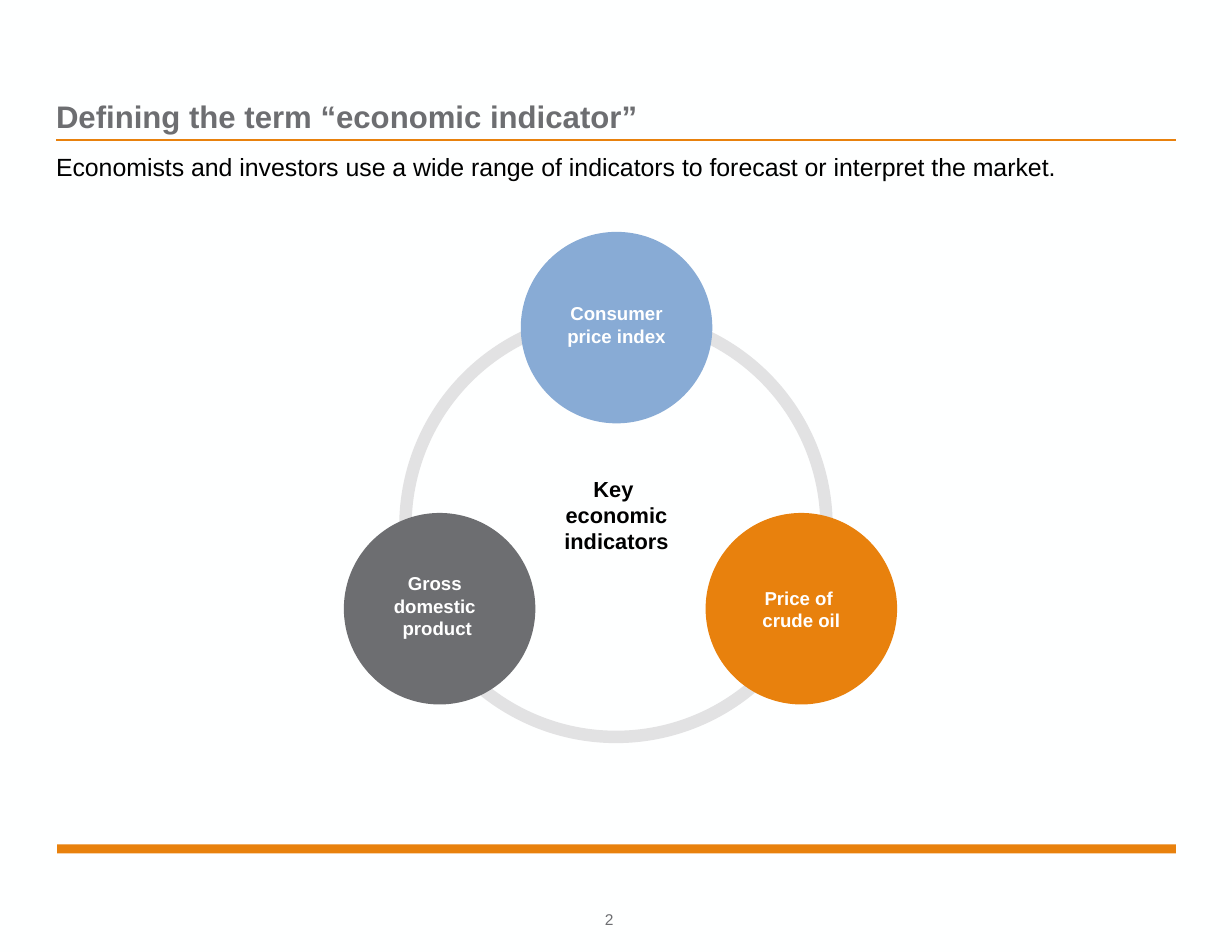
from dataclasses import dataclass

from lxml import etree
from pptx import Presentation
from pptx.dml.color import RGBColor
from pptx.enum.shapes import MSO_CONNECTOR, MSO_SHAPE
from pptx.enum.text import MSO_ANCHOR as Anchor, MSO_AUTO_SIZE as AutoSize, PP_ALIGN as Align
from pptx.oxml.ns import qn
from pptx.util import Inches, Pt


@dataclass(frozen=True)
class Theme:
    font: str = "Arial"
    paper: RGBColor = RGBColor(0xFE, 0xFF, 0xFF)
    white: RGBColor = RGBColor(0xFF, 0xFF, 0xFF)
    black: RGBColor = RGBColor(0, 0, 0)
    orange: RGBColor = RGBColor(0xE8, 0x81, 0x0D)
    gray: RGBColor = RGBColor(0x6D, 0x6E, 0x71)
    blue: RGBColor = RGBColor(0x88, 0xAB, 0xD5)
    ring: RGBColor = RGBColor(0xE2, 0xE2, 0xE3)
    title: int = 20
    body: int = 16
    center: int = 14
    label: int = 12
    footer: int = 10


theme = Theme()
deck = Presentation()
deck.slide_width, deck.slide_height = Inches(11), Inches(8.5)
page = deck.slides.add_slide(deck.slide_layouts[6])
page.background.fill.solid()
page.background.fill.fore_color.rgb = theme.paper


def add_text(text, at, size, color, bold=False, align=Align.LEFT, anchor=Anchor.TOP,
             margins=(0, 0), wrap=True, grow=False):
    """Place a text box; margins are (horizontal, vertical), \\v breaks a line."""
    box = page.shapes.add_textbox(*map(Inches, at))
    frame = box.text_frame
    frame.word_wrap = wrap
    frame.auto_size = AutoSize.SHAPE_TO_FIT_TEXT if grow else AutoSize.NONE
    frame.vertical_anchor = anchor
    frame.margin_left = frame.margin_right = Inches(margins[0])
    frame.margin_top = frame.margin_bottom = Inches(margins[1])
    para = frame.paragraphs[0]
    para.text = text
    para.alignment = align
    for span in para.runs:
        span.font.name = theme.font
        span.font.size = Pt(size)
        span.font.bold = bold
        span.font.color.rgb = color


def add_solid(kind, at, color):
    shape = page.shapes.add_shape(kind, *map(Inches, at))
    shape.shadow.inherit = False
    shape.fill.solid()
    shape.fill.fore_color.rgb = color
    shape.line.fill.background()


# Page frame
add_solid(MSO_SHAPE.RECTANGLE, (0.51, 7.54, 9.99, 0.08), theme.orange)
rule = page.shapes.add_connector(MSO_CONNECTOR.STRAIGHT, Inches(0.5), Inches(1.25),
                                 Inches(10.5), Inches(1.25))
rule.line.color.rgb = theme.orange
rule.line.width = Pt(1)
etree.SubElement(rule._element.spPr, qn("a:effectLst"))

add_text("Defining the term “economic indicator”", (0.5, 0.52, 9.99, 0.68),
         theme.title, theme.gray, bold=True, anchor=Anchor.BOTTOM)
add_text("2", (5.4, 8.12, 0.17, 0.17), theme.footer, theme.gray,
         anchor=Anchor.BOTTOM, wrap=False, grow=True)
add_text("Economists and investors use a wide range of indicators to forecast or interpret the market.",
         (0.5, 1.35, 9.11, 0.37), theme.body, theme.black)

# Ring with three indicators around the central label
ring = page.shapes.add_shape(MSO_SHAPE.OVAL, Inches(3.62), Inches(2.82), Inches(3.76), Inches(3.76))
ring.shadow.inherit = False
ring.fill.background()
ring.line.color.rgb = theme.ring
ring.line.width = Pt(8)

label_style = dict(bold=True, align=Align.CENTER, margins=(0.1, 0.05), grow=True)
add_text("Key \veconomic indicators", (4.69, 4.2, 1.63, 0.81),
         theme.center, theme.black, **label_style)

diameter = 1.71
indicators = [
    ("Price of \vcrude oil", theme.orange, (6.3, 4.58), (6.34, 5.19, 1.63, 0.5)),
    ("Gross \vdomestic \vproduct", theme.gray, (3.07, 4.58), (3.09, 5.06, 1.63, 0.71)),
    ("Consumer price index", theme.blue, (4.65, 2.07), (4.89, 2.65, 1.23, 0.5)),
]
for label, color, corner, label_at in indicators:
    add_solid(MSO_SHAPE.OVAL, (*corner, diameter, diameter), color)
    add_text(label, label_at, theme.label, theme.white, **label_style)

deck.save("out.pptx")
